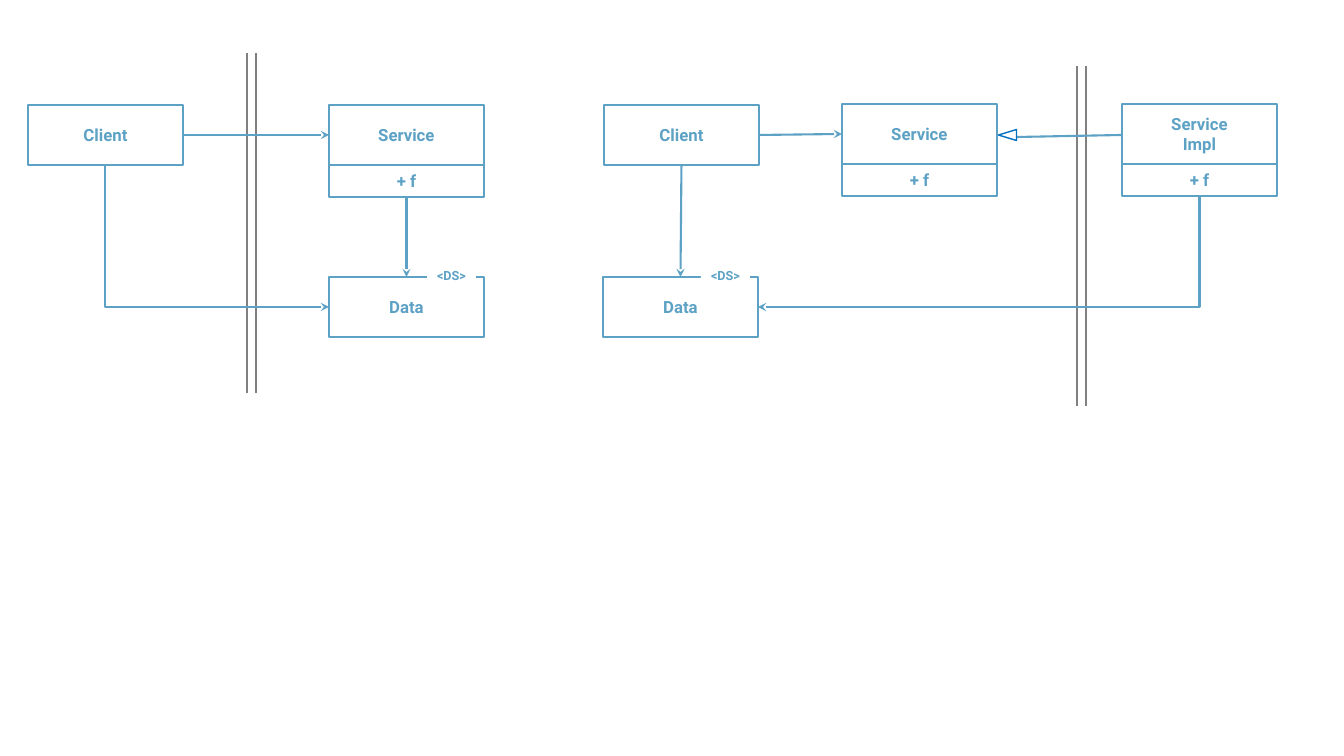
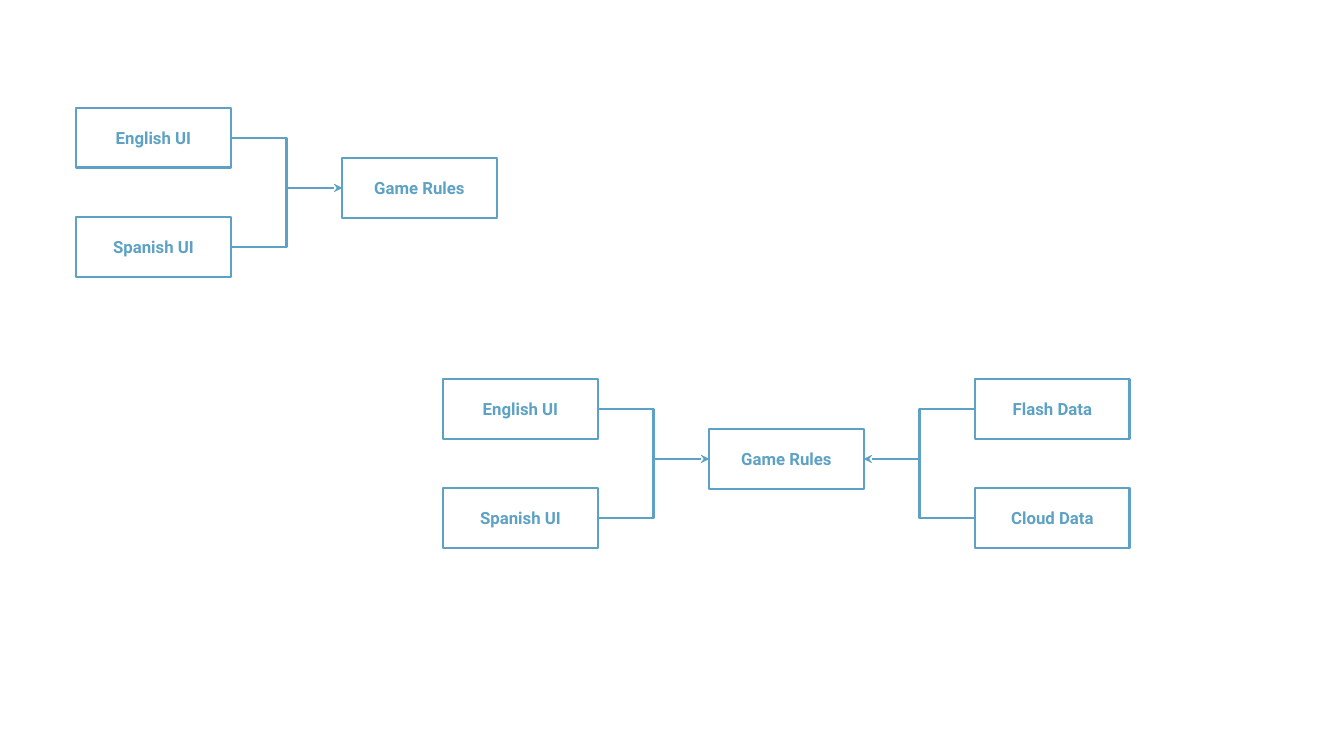
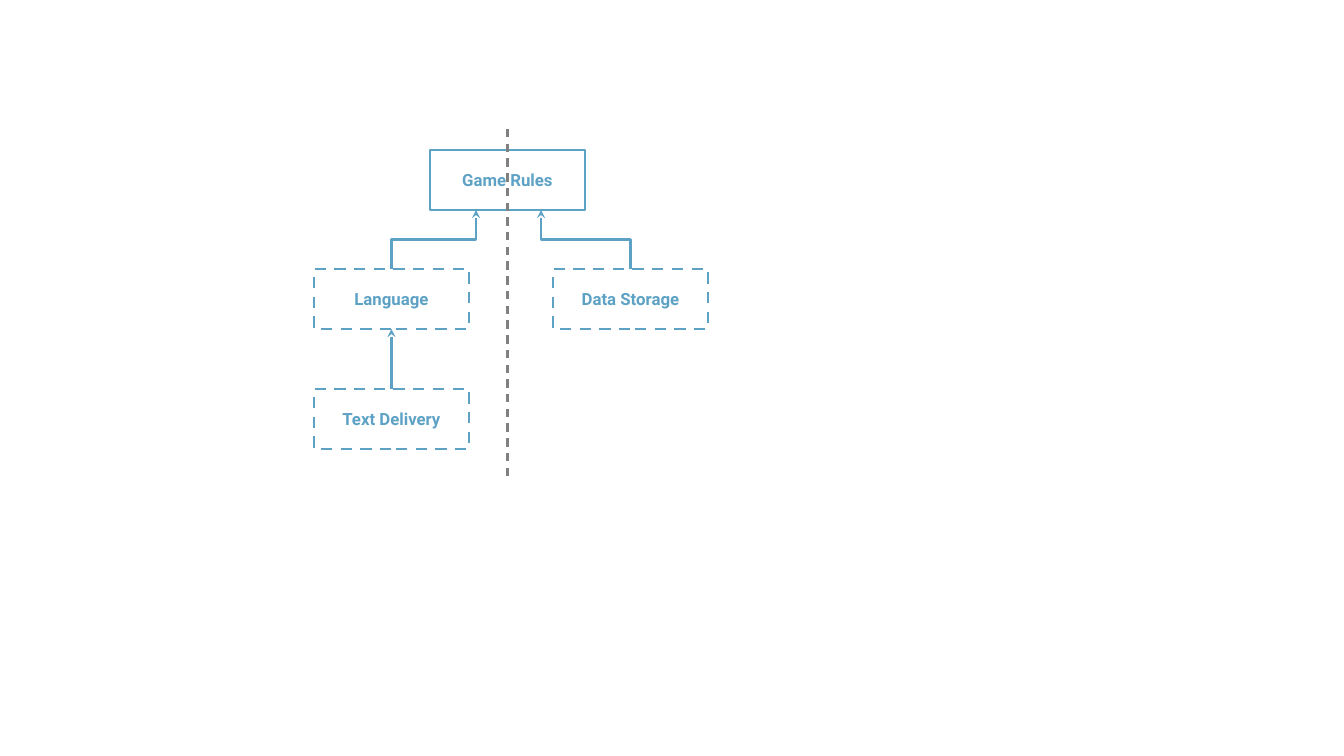
from dataclasses import dataclass

from lxml import etree
from pptx import Presentation
from pptx import util as u
from pptx.dml.color import RGBColor
from pptx.enum import dml, shapes, text
from pptx.oxml.ns import qn

# Shared style
BLUE = RGBColor(0x5D, 0xA2, 0xC5)
GREY = RGBColor(0x80, 0x80, 0x80)
TIP_BLUE = RGBColor(0x00, 0x70, 0xC0)
WHITE = RGBColor(0xFF, 0xFF, 0xFF)
FONT = "Roboto"
PX = 914400 / 100.8
BOX_W, BOX_H, FIELD_H = 155, 60, 32
RECT = shapes.MSO_SHAPE.RECTANGLE
STRAIGHT, ELBOW = shapes.MSO_CONNECTOR.STRAIGHT, shapes.MSO_CONNECTOR.ELBOW


def px(n):
    return u.Emu(round(n * PX))


@dataclass
class Box:
    """Place of a box, with the points where arrows attach."""
    x: int
    y: int
    h: int = BOX_H

    @property
    def left(self):
        return self.x, self.y + BOX_H / 2

    @property
    def right(self):
        return self.x + BOX_W, self.y + BOX_H / 2

    @property
    def top(self):
        return self.x + BOX_W / 2, self.y

    @property
    def bottom(self):
        return self.x + BOX_W / 2, self.y + self.h


# Basic parts
def write(sp, words, size=12, wrap=True):
    tf = sp.text_frame
    tf.word_wrap = wrap
    tf.vertical_anchor = text.MSO_ANCHOR.MIDDLE
    p = tf.paragraphs[0]
    p.text = words
    p.alignment = text.PP_ALIGN.CENTER
    p.font.name, p.font.size, p.font.bold = FONT, u.Pt(size), True
    p.font.color.rgb = BLUE


def add_label(s, x, y, h, words):
    write(s.shapes.add_textbox(px(x), px(y), px(BOX_W), px(h)), words)


def add_frame(s, x, y, h, dashed=False):
    sp = s.shapes.add_shape(RECT, px(x), px(y), px(BOX_W), px(h))
    sp.shadow.inherit = False
    sp.fill.background()
    sp.line.color.rgb, sp.line.width = BLUE, u.Pt(2)
    if dashed:
        sp.line.dash_style = dml.MSO_LINE.DASH
    return sp


def add_line(s, a, b, color=BLUE, width=1.5, kind=STRAIGHT, arrow=False):
    cn = s.shapes.add_connector(kind, *map(px, a + b))
    cn.line.color.rgb, cn.line.width = color, u.Pt(width)
    spPr = cn._element.spPr
    if arrow:
        etree.SubElement(spPr.find(qn("a:ln")), qn("a:tailEnd"), type="stealth")
    etree.SubElement(spPr, qn("a:effectLst"))
    return cn


def add_arrow(s, a, b, kind=STRAIGHT):
    return add_line(s, a, b, kind=kind, arrow=True)


def add_upright_elbow(s, a, b, preset="bentConnector3"):
    """Bent arrow that leaves its start vertically."""
    (ax, ay), (bx, by) = a, b
    cx, cy = (ax + bx) / 2, (ay + by) / 2
    half_w, half_h = abs(by - ay) / 2, abs(bx - ax) / 2
    cn = add_arrow(s, (cx - half_w, cy - half_h), (cx + half_w, cy + half_h), ELBOW)
    up, rightward = by < ay, bx > ax
    spPr = cn._element.spPr
    spPr.find(qn("a:prstGeom")).set("prst", preset)
    xfrm = spPr.find(qn("a:xfrm"))
    xfrm.set("rot", str((90 if up == rightward else 270) * 60000))
    xfrm.set("flipH", str(int(rightward)))
    xfrm.set("flipV", str(int(up)))


# Kinds of box
def add_node(s, x, y, name, dashed=False):
    write(add_frame(s, x, y, BOX_H, dashed), name)
    return Box(x, y)


def add_class(s, x, y, name):
    box = Box(x, y, BOX_H + FIELD_H)
    add_frame(s, x, y, box.h)
    add_label(s, x, y, BOX_H, name)
    add_line(s, (x, y + BOX_H), (x + BOX_W, y + BOX_H), width=2)
    add_label(s, x, y + BOX_H, FIELD_H, "+ f")
    return box


def add_data(s, x, y):
    box = add_node(s, x, y, "Data")
    tag = s.shapes.add_shape(RECT, px(x + 98), px(y - 14), px(49), px(25))
    tag.shadow.inherit = False
    tag.fill.solid()
    tag.fill.fore_color.rgb = WHITE
    tag.line.fill.background()
    write(tag, "<DS>", size=9, wrap=False)
    return box


def add_boundary(s, x, y, h=340):
    for line_x in (x, x + 9):
        add_line(s, (line_x, y + h), (line_x, y), GREY, 2)


def add_inheritance(s, child, parent):
    tip_x, tip_y = parent.right
    add_line(s, (tip_x + 20, tip_y + 3), (child.left[0], child.left[1] + 1))
    w, h = 11, 18
    sp = s.shapes.add_shape(shapes.MSO_SHAPE.ISOSCELES_TRIANGLE,
                            px(tip_x + 5), px(tip_y - 8), px(w), px(h))
    sp.rotation = 270
    sp.shadow.inherit = False
    sp.fill.solid()
    sp.fill.fore_color.rgb = WHITE
    sp.line.color.rgb, sp.line.width = TIP_BLUE, u.Pt(1)


# Regions
def direct_call(s, x, y):
    client = add_node(s, x, y, "Client")
    service = add_class(s, x + 301, y, "Service")
    add_boundary(s, x + 219, y - 52)
    data = add_data(s, x + 301, y + 172)
    add_arrow(s, client.right, service.left)
    add_arrow(s, service.bottom, data.top)
    add_upright_elbow(s, client.bottom, data.left, "bentConnector2")


def inverted_call(s, x, y):
    client = add_node(s, x, y, "Client")
    service = add_class(s, x + 238, y - 1, "Service")
    impl = add_class(s, x + 518, y - 1, "Service\nImpl")
    add_boundary(s, x + 473, y - 39)
    data = add_data(s, x - 1, y + 172)
    add_arrow(s, client.right, service.left)
    add_arrow(s, client.bottom, data.top)
    add_upright_elbow(s, impl.bottom, data.right, "bentConnector2")
    add_inheritance(s, impl, service)


def game_fan(s, x, y, right_names=()):
    """Two boxes on each side that point at the rules between them."""
    step_x, step_y = 266, 109
    rules = add_node(s, x + step_x, y + 50, "Game Rules")
    for i, name in enumerate(("English UI", "Spanish UI")):
        ui = add_node(s, x, y + i * step_y, name)
        add_arrow(s, ui.right, rules.left, ELBOW)
    for i, name in enumerate(right_names):
        store = add_node(s, x + 2 * step_x, y + i * step_y, name)
        add_arrow(s, store.left, rules.right, ELBOW)


def rules_tree(s, x, y):
    rules = add_node(s, x + 116, y, "Game Rules")
    language = add_node(s, x, y + 119, "Language", dashed=True)
    delivery = add_node(s, x, y + 239, "Text Delivery", dashed=True)
    storage = add_node(s, x + 239, y + 119, "Data Storage", dashed=True)
    add_upright_elbow(s, language.top, (rules.x + 46, rules.bottom[1]))
    add_upright_elbow(s, storage.top, (rules.x + 111, rules.bottom[1]))
    add_arrow(s, delivery.top, language.bottom)
    mid_x = rules.top[0]
    split = add_line(s, (mid_x, y - 21), (mid_x, y + 332), GREY)
    split.line.dash_style = dml.MSO_LINE.DASH


def main():
    prs = Presentation()
    prs.slide_width, prs.slide_height = px(1344), px(756)
    calls, fans, tree = (prs.slides.add_slide(prs.slide_layouts[6]) for _ in range(3))
    direct_call(calls, 28, 105)
    inverted_call(calls, 604, 105)
    game_fan(fans, 76, 108)
    game_fan(fans, 443, 379, ("Flash Data", "Cloud Data"))
    rules_tree(tree, 314, 150)
    prs.save("out.pptx")


if __name__ == "__main__":
    main()
